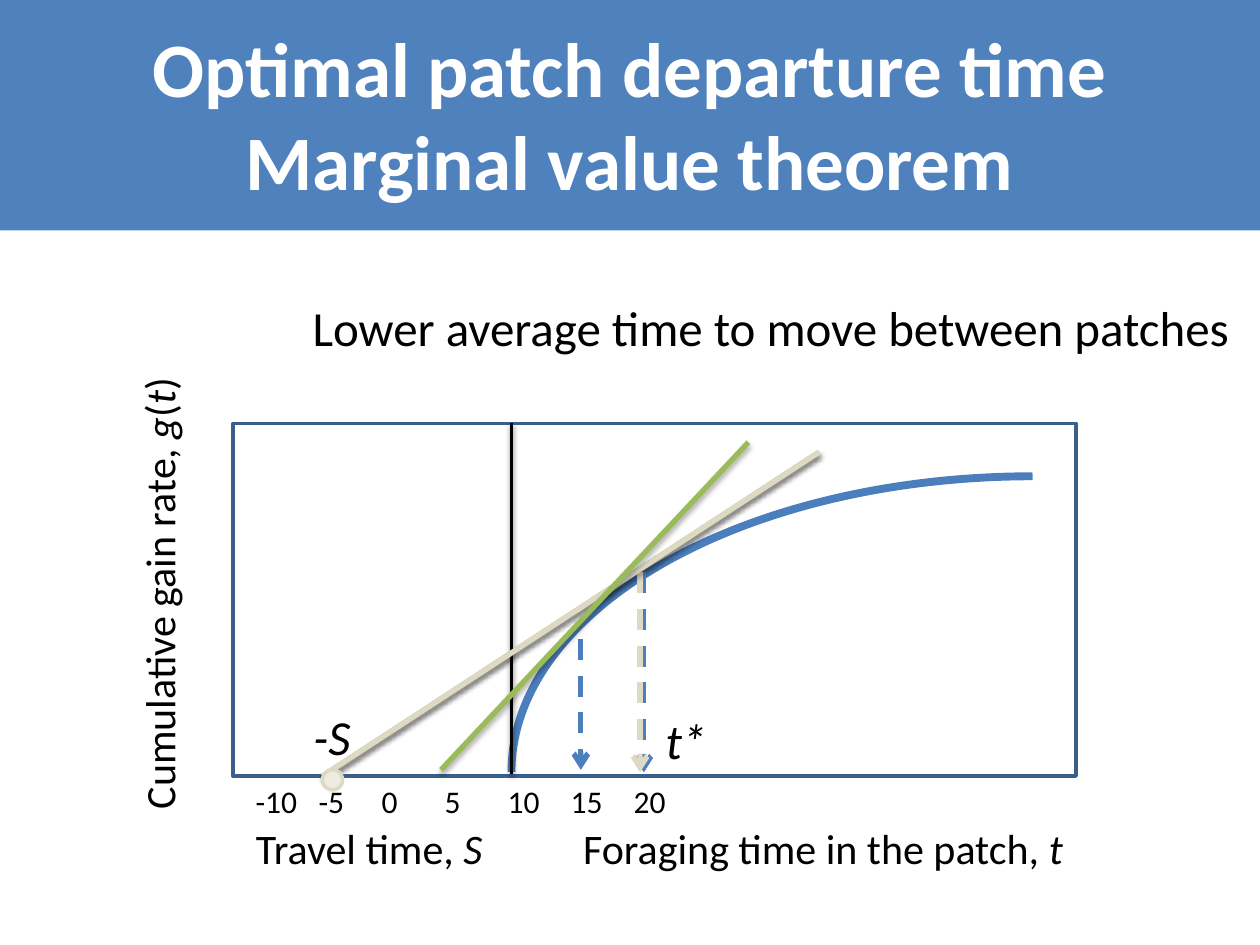
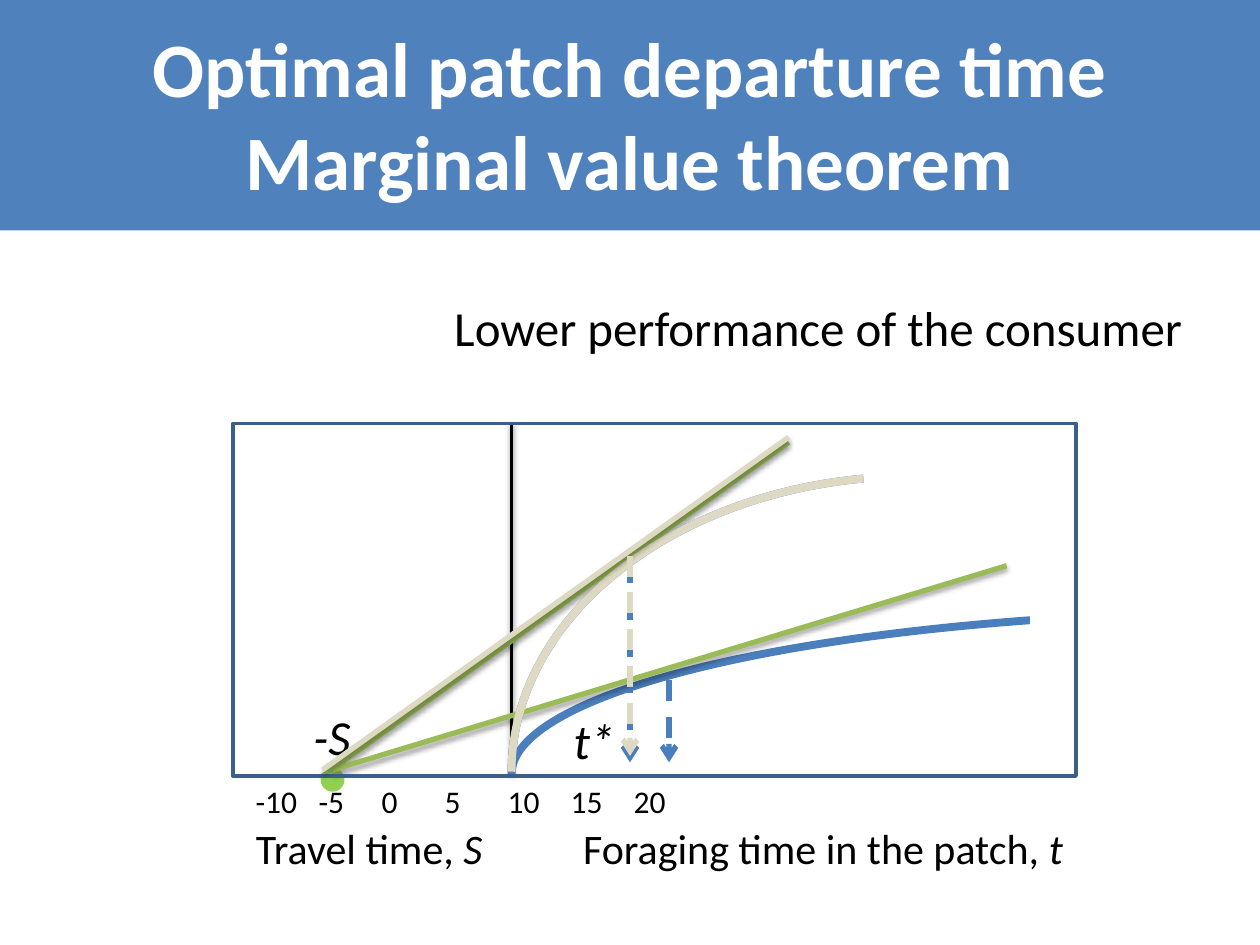
from lxml import etree
from pptx import Presentation
from pptx.dml.color import RGBColor
from pptx.enum.dml import MSO_LINE
from pptx.enum.shapes import MSO_CONNECTOR, MSO_SHAPE
from pptx.enum.text import MSO_ANCHOR, MSO_AUTO_SIZE, PP_ALIGN
from pptx.oxml.ns import qn
from pptx.util import Inches, Pt

RECT, OVAL, ARC = MSO_SHAPE.RECTANGLE, MSO_SHAPE.OVAL, MSO_SHAPE.ARC
STRAIGHT, DASH = MSO_CONNECTOR.STRAIGHT, MSO_LINE.DASH
LEFT, CENTER, RIGHT = PP_ALIGN.LEFT, PP_ALIGN.CENTER, PP_ALIGN.RIGHT
MIDDLE, GROW = MSO_ANCHOR.MIDDLE, MSO_AUTO_SIZE.SHAPE_TO_FIT_TEXT
TOP_SIDE = 0

COLORS = {
    "band": "4F81BD", "curve": "4B7EBC", "frame": "3A5F8C", "tangent": "9BBB59",
    "before": "DDD9C3", "before_dot": "EEECE1", "dot": "92D050",
    "text": "000000", "white": "FFFFFF",
}
FONT = "Calibri"
TITLE = ["Optimal patch departure time", "Marginal value theorem"]
TICKS = "\t".join(str(n) for n in range(-10, 21, 5))
DOT_AT = (2.56, 6.11, 0.16, 0.16)
STEEP_ARC_AT = (4.06, 3.78, 6.38, 4.69)
STEEP_START = 167.81


def rgb(name):
    return RGBColor.from_string(COLORS[name])


class Deck:
    def __init__(self):
        self.prs = Presentation()
        self.prs.slide_width, self.prs.slide_height = Inches(10), Inches(7.5)
        self.s = None

    def new_slide(self):
        self.s = self.prs.slides.add_slide(self.prs.slide_layouts[6])

    def shape(self, kind, at, fill=None, line=None, width=2):
        sp = self.s.shapes.add_shape(kind, *map(Inches, at))
        sp.shadow.inherit = False
        if fill:
            sp.fill.solid()
            sp.fill.fore_color.rgb = rgb(fill)
        else:
            sp.fill.background()
        if line:
            sp.line.color.rgb = rgb(line)
            sp.line.width = Pt(width)
        else:
            sp.line.fill.background()
        return sp

    def gain_curve(self, at, color="curve", start=162):
        """Arc mirrored to rise from the left; start is its first adjustment."""
        sp = self.shape(ARC, at, line=color, width=4.5)
        sp.adjustments[0] = start
        sp.element.spPr.find(qn("a:xfrm")).set("flipH", "1")

    def fill_paragraph(self, p, text, size, color="text", align=LEFT, bold=False):
        """Add the text in one style; parts between underscores are italic."""
        for i, part in enumerate(text.split("_")):
            if part:
                r = p.add_run()
                r.text = part
                if i % 2:
                    r.font.italic = True
        p.alignment = align
        p.font.name, p.font.size, p.font.bold = FONT, Pt(size), bold
        p.font.color.rgb = rgb(color)

    def text(self, at, text, size, align=LEFT, wrap=False, rotation=0):
        sp = self.s.shapes.add_textbox(*map(Inches, at))
        sp.rotation = rotation
        tf = sp.text_frame
        tf.word_wrap, tf.auto_size = wrap, GROW
        self.fill_paragraph(tf.paragraphs[0], text, size, align=align)

    def line(self, start, end, color, width=3, shadow=None):
        """Straight line; shadow is (opacity %, distance in points)."""
        cx = self.s.shapes.add_connector(STRAIGHT, *map(Inches, start + end))
        cx.line.color.rgb = rgb(color)
        cx.line.width = Pt(width)
        effects = etree.SubElement(cx.element.spPr, qn("a:effectLst"))
        if shadow:
            opacity, distance = shadow
            outer = etree.SubElement(
                effects, qn("a:outerShdw"), blurRad=str(Pt(3.1)),
                dist=str(Pt(distance)), dir="5400000", rotWithShape="0")
            black = etree.SubElement(outer, qn("a:srgbClr"), val=COLORS["text"])
            etree.SubElement(black, qn("a:alpha"), val=str(opacity * 1000))
        return cx

    def tangent(self, start, end, color="tangent"):
        return self.line(start, end, color, shadow=(35, 1.8))

    def drop_arrow(self, x, top, bottom, color="curve"):
        cx = self.line((x, top), (x, bottom), color)
        cx.line.dash_style = DASH
        ln = cx.element.spPr.find(qn("a:ln"))
        etree.SubElement(ln, qn("a:tailEnd"), type="arrow")

    def frame(self):
        self.shape(RECT, (1.85, 3.36, 6.69, 2.8), line="frame")

    def axis(self):
        self.text((1.93, 6.16, 6.52, 0.4), TICKS, 18)
        self.line((4.06, 3.36), (4.06, 6.14), "text", 2, shadow=(38, 1.6))

    def labels(self, heading, heading_at, optimum_x):
        self.text(heading_at, heading, 28, RIGHT, wrap=True)
        self.text((2.38, 5.56, 0.51, 0.57), "_-S_", 28, CENTER)
        self.text((optimum_x, 5.59, 0.53, 0.57), "_t*_", 28, CENTER)

    def title_and_captions(self):
        tf = self.shape(RECT, (0, -0.03, 10, 1.86), fill="band").text_frame
        tf.word_wrap, tf.vertical_anchor = True, MIDDLE
        for i, row in enumerate(TITLE):
            p = tf.add_paragraph() if i else tf.paragraphs[0]
            self.fill_paragraph(p, row, 44, "white", CENTER, bold=True)
        self.text((4.53, 6.48, 4.04, 0.5), "Foraging time in the patch, _t_", 24)
        self.text((1.92, 6.48, 2.02, 0.5), "Travel time, _S_", 24, CENTER)


def travel_time_slide(d):
    d.new_slide()
    d.gain_curve((4.06, 3.78, 8.27, 4.69))
    d.frame()
    d.axis()
    d.labels("Lower average time to move between patches",
             (2.05, 2.31, 7.8, 0.57), 5.18)
    d.tangent((2.56, 6.16), (6.5, 3.59))
    d.drop_arrow(5.11, 4.54, 6.13)
    d.drop_arrow(4.61, 5.07, 6.11)
    d.drop_arrow(5.08, 4.54, 6.13, "before")
    d.tangent((2.56, 6.16), (6.5, 3.59), "before")
    d.shape(OVAL, DOT_AT, "before_dot", "before")
    d.tangent((3.5, 6.11), (5.94, 3.51))
    d.title_and_captions()
    d.text((-0.57, 4.44, 3.66, 0.5), "Cumulative gain rate, _g_(_t_)", 24,
           rotation=270)


def performance_slide(d):
    d.new_slide()
    d.gain_curve(STEEP_ARC_AT, start=STEEP_START)
    d.axis()
    d.tangent((2.56, 6.16), (6.26, 3.51))
    d.drop_arrow(5, 4.46, 6.05)
    dot = d.shape(OVAL, DOT_AT, "dot", "dot")
    d.labels("Lower performance of the consumer", (1.61, 2.31, 7.87, 0.57), 4.45)
    d.gain_curve((4.06, 4.85, 12.28, 2.59), start=160.15)
    d.tangent((2.64, 6.11), (7.99, 4.49)).begin_connect(dot, TOP_SIDE)
    d.drop_arrow(5.31, 5.4, 6.05)
    d.shape(RECT, (8.19, 4.49, 2.24, 0.91), "white", "white")  # ends the curve at t = 20
    d.frame()
    d.gain_curve(STEEP_ARC_AT, "before", STEEP_START)
    d.tangent((2.56, 6.11), (6.26, 3.47), "before")
    d.drop_arrow(5, 4.41, 6, "before")
    d.title_and_captions()


def main():
    d = Deck()
    travel_time_slide(d)
    performance_slide(d)
    d.prs.save("out.pptx")


if __name__ == "__main__":
    main()
